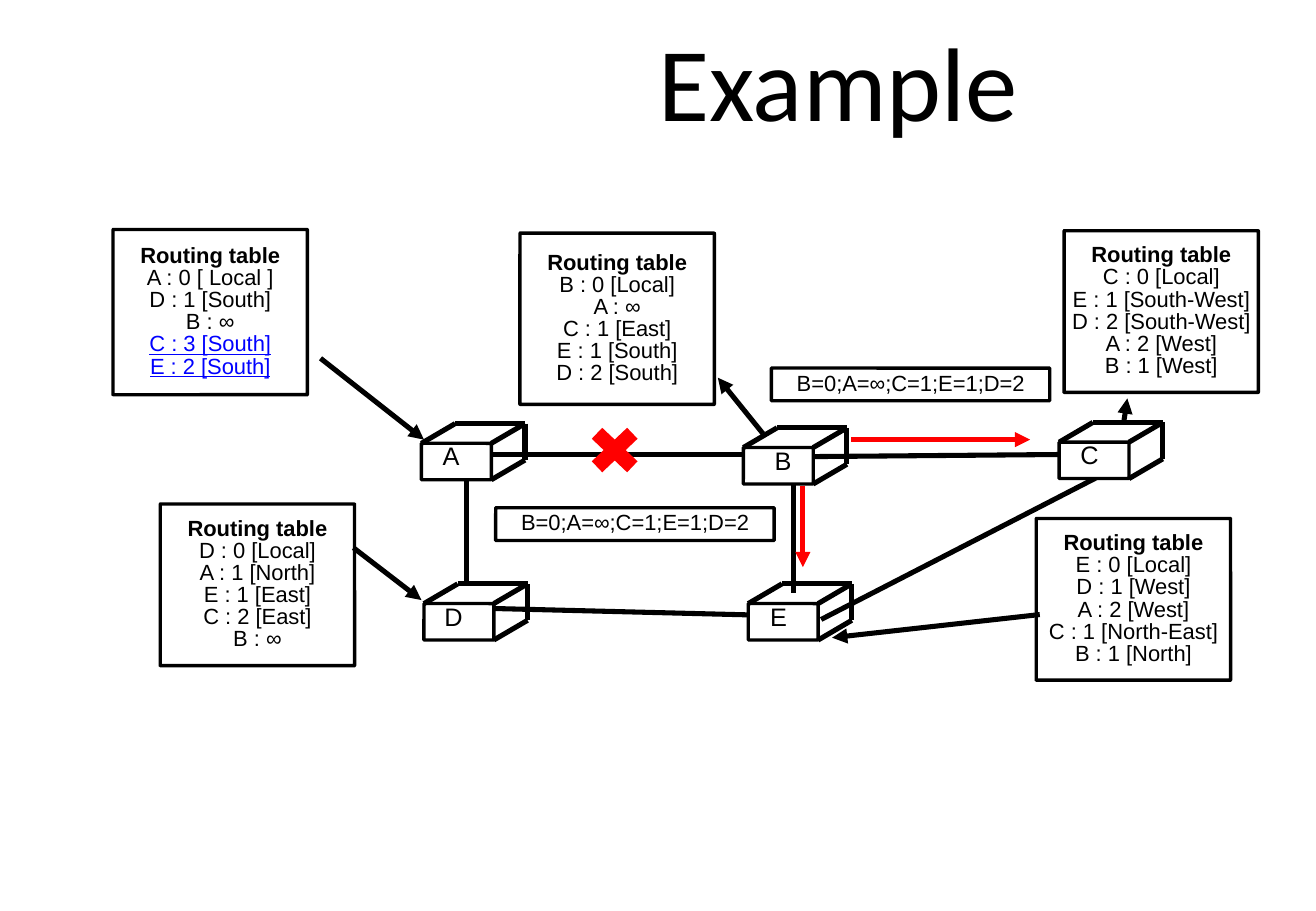
from pptx import Presentation
from pptx.dml.color import RGBColor
from pptx.enum.shapes import MSO_CONNECTOR as Connector, MSO_SHAPE as Shape
from pptx.enum.text import MSO_ANCHOR as Anchor, PP_ALIGN as Align
from pptx.oxml.ns import qn
from pptx.util import Pt
from lxml.etree import SubElement

BLACK = RGBColor(0, 0, 0)
WHITE = RGBColor(255, 255, 255)
RED = RGBColor(255, 0, 0)
BLUE = RGBColor(0, 0, 255)

TABLE_WIDTH = 115.2
MESSAGE = "B=0;A=∞;C=1;E=1;D=2"

# Routers: name, left and top of the front face, centre of the letter from the left
ROUTERS = [
    ("A", 249.8, 262.8, 17.5),
    ("B", 440.6, 265.3, 23.5),
    ("C", 627.8, 262.1, 18),
    ("D", 251.3, 357.8, 17.5),
    ("E", 443.5, 357.8, 18),
]

# Links between routers: start x, y and end x, y
LINKS = [
    (276.5, 283.7, 276.5, 346.3),
    (292.3, 360.7, 464.4, 365),
    (288.7, 269.3, 462.2, 269.3),
    (470.5, 282.2, 470.5, 351.4),
    (486.7, 367.2, 650.2, 283),
    (478, 270.7, 642.2, 269.3),
]

# Routing tables: left, top, height, routes, number of updated routes at the end
TABLES = [
    (67, 136.1, 97.9, ["A : 0 [ Local ]", "D : 1 [South]", "B : ∞",
                       "C : 3 [South]", "E : 2 [South]"], 2),
    (630.7, 136.8, 95.8, ["C : 0 [Local]", "E : 1 [South-West]", "D : 2 [South-West]",
                          "A : 2 [West]", "B : 1 [West]"], 0),
    (614.2, 307.4, 95.8, ["E : 0 [Local]", "D : 1 [West]", "A : 2 [West]",
                          "C : 1 [North-East]", "B : 1 [North]"], 0),
    (95, 298.8, 95.8, ["D : 0 [Local]", "A : 1 [North]", "E : 1 [East]",
                       "C : 2 [East]", "B : ∞"], 0),
    (308.2, 138.2, 101.5, ["B : 0 [Local]", "A : ∞", "C : 1 [East]",
                           "E : 1 [South]", "D : 2 [South]"], 0),
]

# Arrows between routers and their tables
TABLE_ARROWS = [
    (190, 212.4, 251.3, 260.6),
    (452.2, 257, 425.5, 223.9),
    (666, 250.6, 668.2, 236.2),
    (209.5, 324.7, 249.8, 355.7),
    (616.3, 364.3, 493.2, 378),
]

# Messages sent by B: left and top of the box, then the arrow
MESSAGES = [
    (293.8, 301, (475.9, 288, 475.9, 336.2)),
    (457.2, 218.2, (504.7, 260.6, 610.6, 260.6)),
]


def write(paragraph, text, size=13, font="Arial", color=BLACK, bold=False,
          underline=False, spacing=0.84):
    paragraph.alignment = Align.CENTER
    paragraph.line_spacing = spacing
    run = paragraph.add_run()
    run.text = text
    run.font.size = Pt(size)
    run.font.name = font
    run.font.color.rgb = color
    run.font.bold = bold
    run.font.underline = underline


class Diagram:
    def __init__(self, slide, line_width=3, border_width=2):
        self.shapes = slide.shapes
        self.line_width = line_width
        self.border_width = border_width

    def frame(self, shape, wrap=True):
        frame = shape.text_frame
        frame.word_wrap = wrap
        frame.vertical_anchor = Anchor.MIDDLE
        frame.margin_left = frame.margin_right = 0
        frame.margin_top = frame.margin_bottom = 0
        return frame

    def label(self, text, left, top, width, height, wrap=True, **style):
        box = self.shapes.add_textbox(Pt(left), Pt(top), Pt(width), Pt(height))
        write(self.frame(box, wrap).paragraphs[0], text, **style)

    def box(self, left, top, width, height, fill=None):
        shape = self.shapes.add_shape(Shape.ROUNDED_RECTANGLE, Pt(left), Pt(top),
                                      Pt(width), Pt(height))
        shape.adjustments[0] = 0.001
        shape.shadow.inherit = False
        if fill is None:
            shape.fill.background()
        else:
            shape.fill.solid()
            shape.fill.fore_color.rgb = fill
        shape.line.color.rgb = BLACK
        shape.line.width = Pt(self.border_width)
        return shape

    def line(self, x1, y1, x2, y2, color=BLACK, arrow=False):
        line = self.shapes.add_connector(Connector.STRAIGHT, Pt(x1), Pt(y1), Pt(x2), Pt(y2))
        line.line.color.rgb = color
        line.line.width = Pt(self.line_width)
        if arrow:
            SubElement(line.line._get_or_add_ln(), qn("a:tailEnd"), type="triangle")
        SubElement(line._element.spPr, qn("a:effectLst"))

    def router(self, name, left, top, letter_x, width=41.4, height=21.6,
               depth=20, rise=11.7):
        right, bottom = left + width, top + height
        self.box(left, top, width, height, WHITE)
        for x, y in [(left, top), (right, top), (right, bottom)]:
            self.line(x, y, x + depth, y - rise)
        self.line(left + depth, top - rise, right + depth, top - rise)
        self.line(right + depth, top - rise, right + depth, bottom - rise)
        self.label(name, left + letter_x - 7, top + 0.5, 14, 16.6, wrap=False, size=15)

    def routing_table(self, left, top, height, routes, updated):
        frame = self.frame(self.box(left, top, TABLE_WIDTH, height))
        write(frame.paragraphs[0], "Routing table", bold=True)
        for index, route in enumerate(routes):
            changed = index >= len(routes) - updated
            write(frame.add_paragraph(), route, color=BLUE if changed else BLACK,
                  underline=changed)

    def message(self, left, top, arrow):
        frame = self.frame(self.box(left, top, 165, 19.4))
        write(frame.paragraphs[0], MESSAGE)
        self.line(*arrow, color=RED, arrow=True)

    def broken_link(self, left, top, width, height):
        cross = self.shapes.add_shape(Shape.MATH_MULTIPLY, Pt(left), Pt(top),
                                      Pt(width), Pt(height))
        cross.shadow.inherit = False
        cross.fill.solid()
        cross.fill.fore_color.rgb = RED
        cross.line.fill.background()


def main():
    presentation = Presentation()
    presentation.slide_width, presentation.slide_height = Pt(780), Pt(540)
    slide = presentation.slides.add_slide(presentation.slide_layouts[6])
    diagram = Diagram(slide)

    # Title
    diagram.label("Example", 263.5, 0, 466.5, 95, size=62, font="Calibri", spacing=1.0)

    # Network
    for link in LINKS:
        diagram.line(*link)
    for router in ROUTERS:
        diagram.router(*router)

    # Routing tables
    for table in TABLES:
        diagram.routing_table(*table)
    for arrow in TABLE_ARROWS:
        diagram.line(*arrow, arrow=True)

    # Messages and the broken link
    for message in MESSAGES:
        diagram.message(*message)
    diagram.broken_link(344.2, 247.7, 40.3, 38.2)

    presentation.save("out.pptx")


if __name__ == "__main__":
    main()
